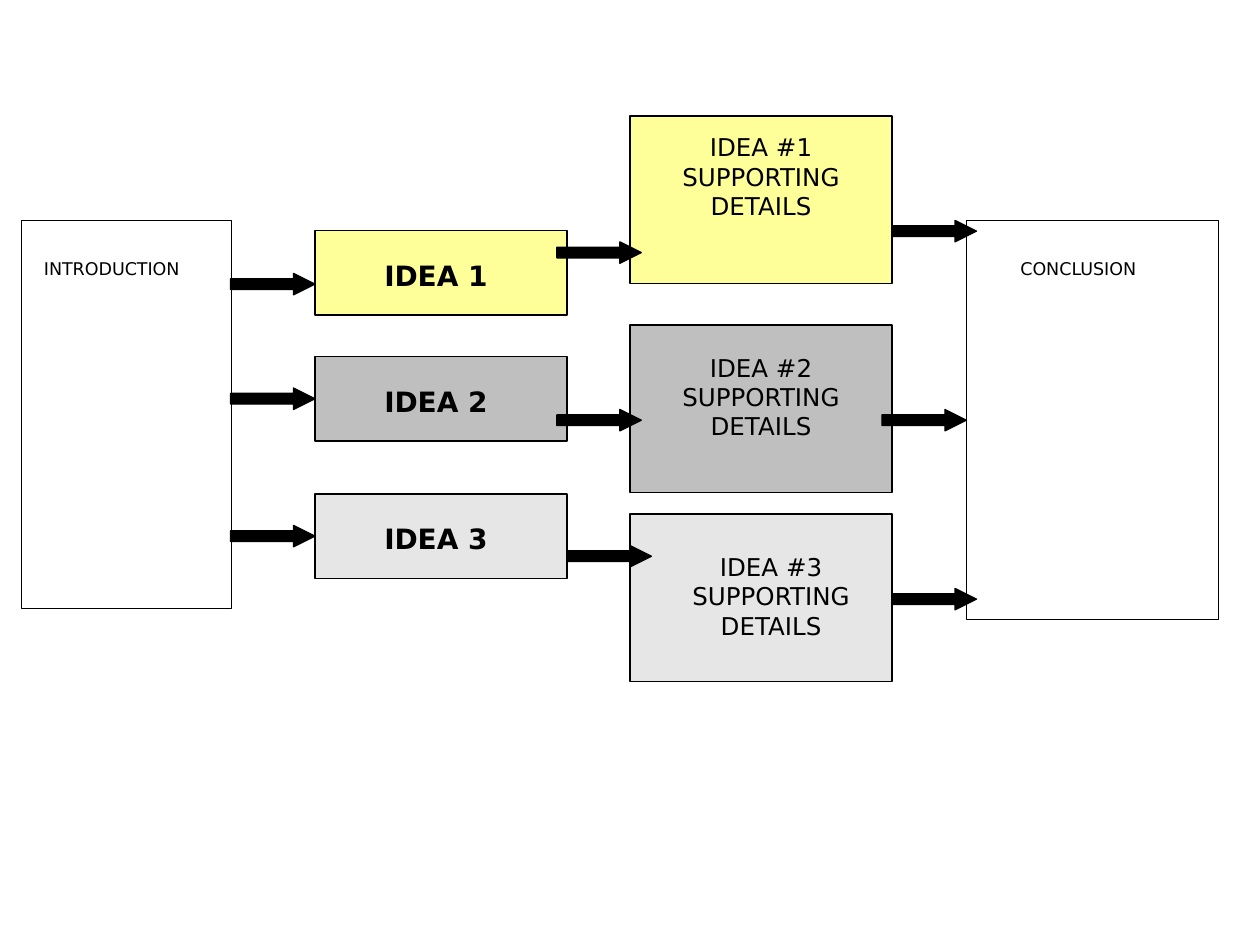
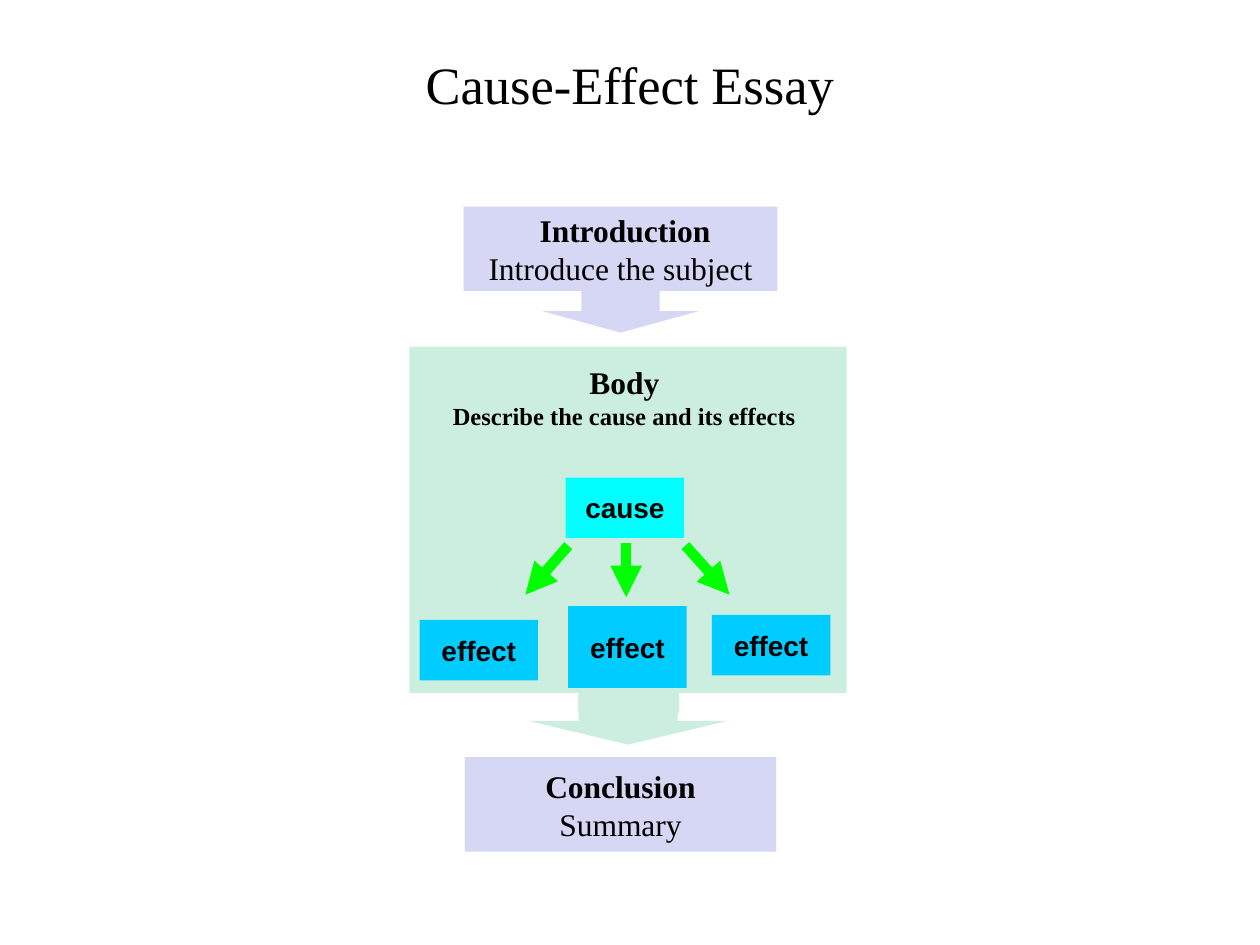
"""Build two essay-planning diagrams: a three-idea outline and a cause-effect flow."""
from dataclasses import dataclass

from lxml.etree import SubElement
from pptx import Presentation
from pptx.dml.color import RGBColor
from pptx.enum.shapes import MSO_CONNECTOR, MSO_SHAPE
from pptx.enum.text import MSO_ANCHOR, MSO_AUTO_SIZE, PP_ALIGN
from pptx.oxml.ns import qn
from pptx.util import Inches, Pt


@dataclass(frozen=True)
class Theme:
    ink: str = "000000"
    paper: str = "FFFFFF"
    ideas: tuple = ("FFFF99", "BFBFBF", "E6E6E6")
    lavender: str = "D6D6F5"
    mint: str = "CCEEDF"
    cause: str = "00FFFF"
    effect: str = "00CCFF"
    link: str = "00FF00"
    outline_font: str = "DejaVu Sans"
    essay_font: str = "Times New Roman"
    node_font: str = "Arial"
    title_size: int = 30
    heading_size: int = 18
    idea_size: int = 16
    detail_size: int = 14
    caption_size: int = 10
    outline_width: float = 0.75
    link_width: int = 6


@dataclass(frozen=True)
class Line:
    text: str
    size: int
    font: str
    bold: bool = False
    align: PP_ALIGN = PP_ALIGN.CENTER
    rtl: bool = False


class Deck:
    """Hold the theme and the current slide."""

    def __init__(self, theme):
        self.theme = theme
        self.presentation = Presentation()
        self.presentation.slide_width = Inches(10)
        self.presentation.slide_height = Inches(7.5)
        self.slide = None

    def new_slide(self, layout_name):
        layout = self.presentation.slide_layouts.get_by_name(layout_name)
        self.slide = self.presentation.slides.add_slide(layout)

    def fill_text(self, frame, lines):
        for index, line in enumerate(lines):
            paragraph = frame.paragraphs[0] if index == 0 else frame.add_paragraph()
            paragraph.text = line.text
            paragraph.alignment = line.align
            paragraph.font.name = line.font
            paragraph.font.size = Pt(line.size)
            paragraph.font.bold = line.bold
            paragraph.font.color.rgb = RGBColor.from_string(self.theme.ink)
            if line.rtl:
                paragraph._p.get_or_add_pPr().set("rtl", "1")

    def title(self, text, box):
        heading = self.slide.shapes.title
        heading.left, heading.top, heading.width, heading.height = map(Inches, box)
        heading.text_frame.vertical_anchor = MSO_ANCHOR.MIDDLE
        self.fill_text(heading.text_frame, [Line(text, self.theme.title_size, self.theme.essay_font)])

    def label(self, box, *lines):
        frame = self.slide.shapes.add_textbox(*map(Inches, box)).text_frame
        frame.word_wrap = True
        frame.auto_size = MSO_AUTO_SIZE.SHAPE_TO_FIT_TEXT
        self.fill_text(frame, lines)

    def shape(self, box, fill, *lines, kind=MSO_SHAPE.RECTANGLE, adjust=(), outlined=False, group=None):
        shapes = (group or self.slide).shapes
        block = shapes.add_shape(kind, *map(Inches, box))
        block.shadow.inherit = False
        block.fill.solid()
        block.fill.fore_color.rgb = RGBColor.from_string(fill)
        if outlined:
            block.line.color.rgb = RGBColor.from_string(self.theme.ink)
            block.line.width = Pt(self.theme.outline_width)
        else:
            block.line.fill.background()
        for index, value in enumerate(adjust):
            block.adjustments[index] = value
        if lines:
            block.text_frame.word_wrap = False
            block.text_frame.vertical_anchor = MSO_ANCHOR.MIDDLE
            self.fill_text(block.text_frame, lines)

    def block_arrow(self, left, top):
        self.shape((left, top, 0.67, 0.17), self.theme.ink,
                   kind=MSO_SHAPE.RIGHT_ARROW, adjust=(0.5, 1), outlined=True)

    def link(self, start, end):
        arrow = self.slide.shapes.add_connector(MSO_CONNECTOR.STRAIGHT, *map(Inches, start + end))
        arrow.line.color.rgb = RGBColor.from_string(self.theme.link)
        arrow.line.width = Pt(self.theme.link_width)
        SubElement(arrow.line._get_or_add_ln(), qn("a:tailEnd"), type="triangle")
        SubElement(arrow._element.spPr, qn("a:effectLst"))


def build_outline(deck):
    theme = deck.theme
    deck.new_slide("Blank")
    idea_tops = (1.83, 2.83, 3.92)
    detail_tops = (0.92, 2.58, 4.08)
    detail_labels = ((5.25, 1), (5.25, 2.75), (5.33, 4.33))

    deck.shape((0.17, 1.75, 1.67, 3.08), theme.paper, outlined=True)
    for top, color in zip(idea_tops, theme.ideas):
        deck.shape((2.5, top, 2, 0.67), color, outlined=True)
    for top, color in zip(detail_tops, theme.ideas):
        deck.shape((5, top, 2.08, 1.33), color, outlined=True)
    deck.shape((7.67, 1.75, 2, 3.17), theme.paper, outlined=True)

    to_ideas = ((1.83, 2.17), (1.83, 3.08), (1.83, 4.17))
    to_details = ((4.42, 1.92), (4.42, 3.25), (4.5, 4.33))
    to_conclusion = ((7.08, 1.75), (7, 3.25), (7.08, 4.67))
    for left, top in to_ideas + to_details + to_conclusion:
        deck.block_arrow(left, top)

    for left, caption in ((0.25, "INTRODUCTION"), (8, "CONCLUSION")):
        deck.label((left, 2, 1.42, 0.27),
                   Line(caption, theme.caption_size, theme.outline_font, align=PP_ALIGN.LEFT))
    for number, (idea_top, (left, top)) in enumerate(zip(idea_tops, detail_labels), 1):
        deck.label((2.75, idea_top + 0.17, 1.42, 0.37),
                   Line(f"IDEA {number}", theme.idea_size, theme.outline_font, bold=True))
        deck.label((left, top, 1.58, 0.8),
                   Line(f"IDEA #{number} SUPPORTING DETAILS", theme.detail_size, theme.outline_font))


def build_cause_effect(deck):
    theme = deck.theme
    deck.new_slide("Title Only")
    deck.title("Cause-Effect Essay", (0.5, 0.25, 9, 0.83))

    def essay_line(text, bold=False, size=theme.heading_size, rtl=True):
        return Line(text, size, theme.essay_font, bold, rtl=rtl)

    def node(box, color, text):
        deck.shape(box, color, Line(text, theme.idea_size, theme.node_font, bold=True))

    deck.shape((3.68, 1.64, 2.49, 1), theme.lavender,
               essay_line("Introduction ", bold=True), essay_line("Introduce the subject"),
               kind=MSO_SHAPE.DOWN_ARROW_CALLOUT, adjust=(0.62, 0.62, 0.17, 0.67))

    body = deck.slide.shapes.add_group_shape()
    deck.shape((4.2, 5.16, 1.57, 0.75), theme.mint,
               kind=MSO_SHAPE.DOWN_ARROW, adjust=(0.5, 0.25), group=body)
    for box in ((3.25, 2.75, 3.47, 2.75), (4.59, 5.41, 0.8, 0.25)):
        deck.shape(box, theme.mint, group=body)
    deck.label((3, 2.83, 3.91, 0.63), essay_line("Body", bold=True, rtl=False),
               essay_line("Describe the cause and its effects", bold=True, size=theme.detail_size))

    node((4.49, 3.79, 0.94, 0.48), theme.cause, "cause")
    for start, end in (((4.51, 4.33), (4.17, 4.72)),
                       ((4.97, 4.31), (4.97, 4.74)),
                       ((5.44, 4.33), (5.79, 4.72))):
        deck.link(start, end)
    for left, top, height in ((3.33, 4.92, 0.48), (4.51, 4.81, 0.65), (5.65, 4.88, 0.48)):
        node((left, top, 0.94, height), theme.effect, "effect")

    deck.shape((3.69, 6.01, 2.47, 0.75), theme.lavender,
               essay_line("Conclusion", bold=True), essay_line("Summary"))


def main():
    deck = Deck(Theme())
    build_outline(deck)
    build_cause_effect(deck)
    deck.presentation.save("out.pptx")


if __name__ == "__main__":
    main()
